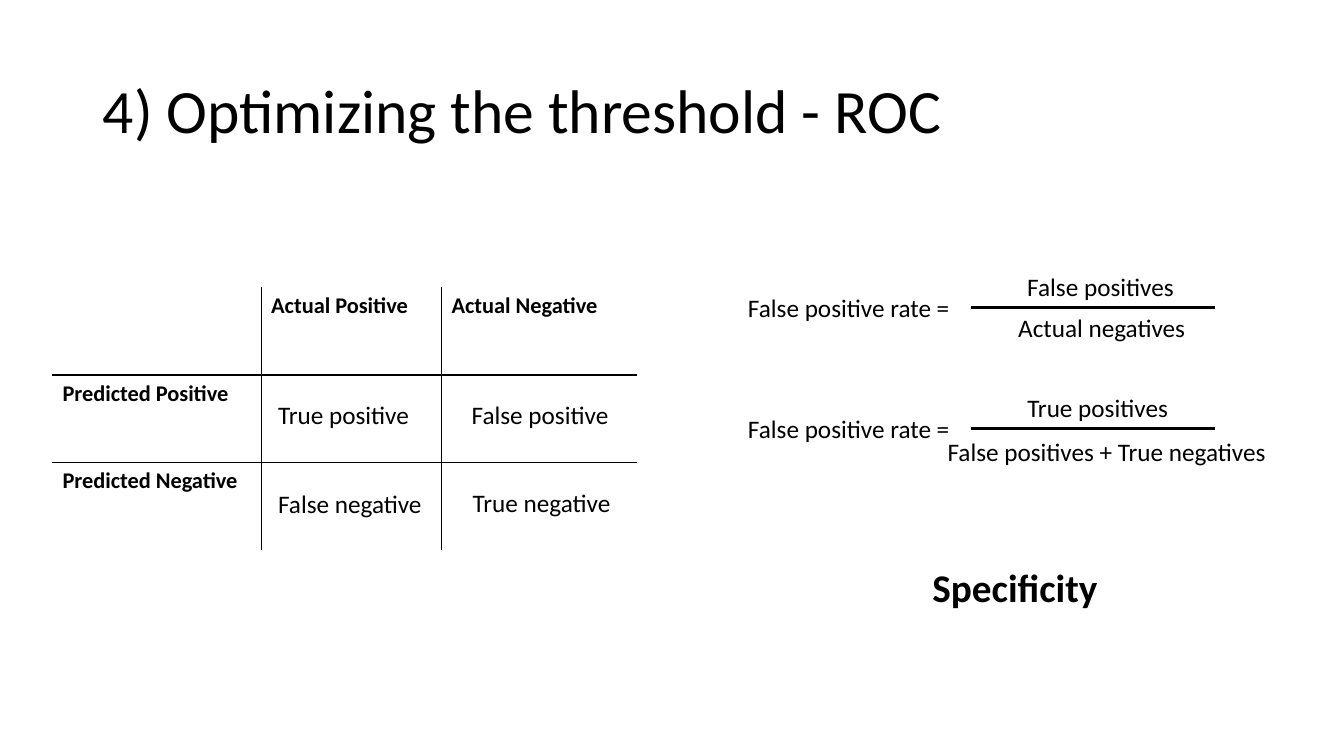
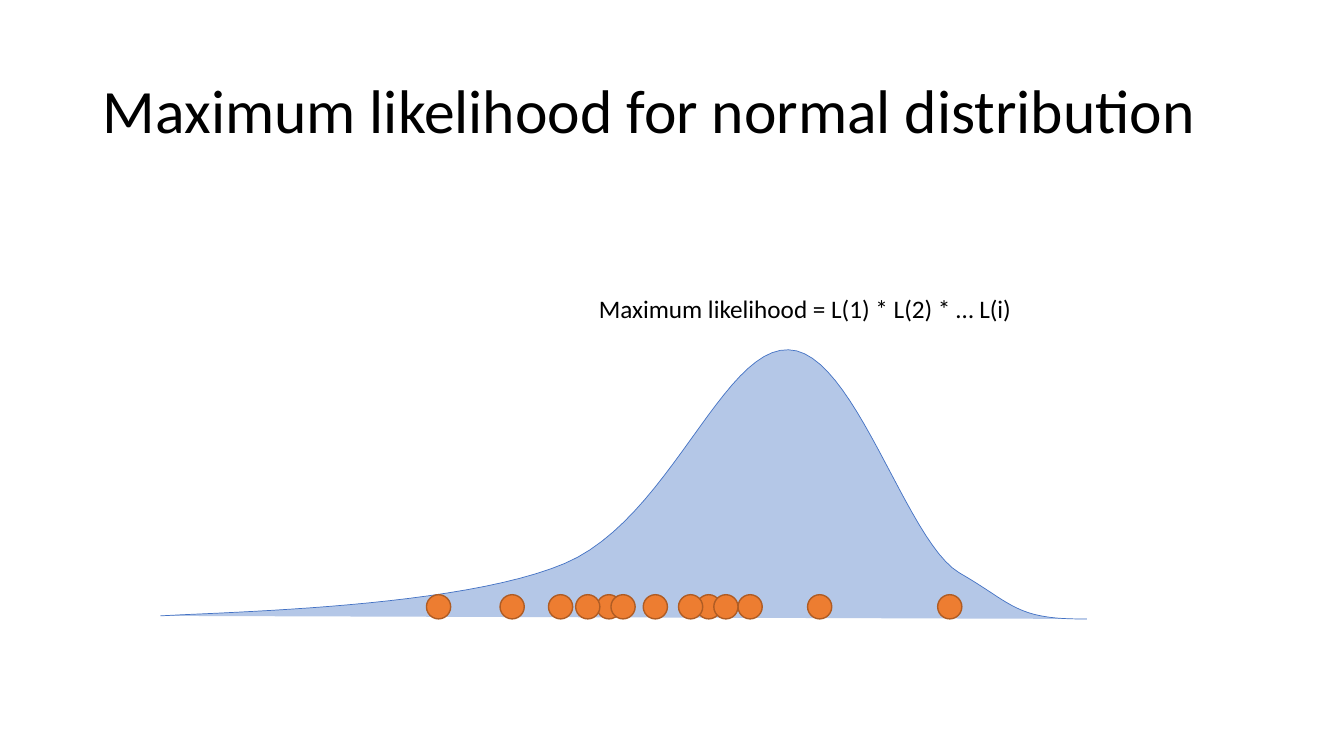
"""Build two statistics slides: a confusion table with rates, and a likelihood curve."""
import dataclasses
import typing

import lxml.etree
import pptx
import pptx.dml.color
import pptx.enum.shapes
import pptx.enum.text
import pptx.oxml.ns
import pptx.util

SCALE = 9144
STEPS = 24


@dataclasses.dataclass(frozen=True)
class Theme:
    font: str = "Calibri"
    ink: str = "000000"
    paper: str = "FFFFFF"
    area: str = "B4C7E7"
    edge: str = "4472C4"
    dot: str = "ED7D31"
    rim: str = "AF5C24"
    title: int = 44
    large: int = 28
    body: int = 18
    head: int = 16


THEME = Theme()


class Label(typing.NamedTuple):
    text: str
    left: int
    top: int
    width: int


class Ratio(typing.NamedTuple):
    name: Label
    upper: Label
    lower: Label
    bar: int


class Curve(typing.NamedTuple):
    start: tuple[int, int]
    pull: tuple[int, int]
    push: tuple[int, int]
    end: tuple[int, int]


HEADS = [
    ["", "Actual Positive", "Actual Negative"],
    ["Predicted Positive", "", ""],
    ["Predicted Negative", "", ""],
]
COLS = [207, 179, 193]
ROW = 87
CELLS = [
    Label("True positive", 266, 391, 152),
    Label("True negative", 459, 479, 159),
    Label("False negative", 266, 480, 164),
    Label("False positive", 458, 391, 157),
]
RATES = [
    Ratio(
        Label("False positive rate =", 732, 285, 228),
        Label("False positives", 1009, 264, 167),
        Label("Actual negatives", 1000, 305, 188),
        305,
    ),
    Ratio(
        Label("False positive rate =", 732, 405, 228),
        Label("True positives", 1009, 384, 161),
        Label("False positives + True negatives", 930, 428, 340),
        425,
    ),
]
CURVES = [
    Curve((1078, 614), (1007, 615), (1005, 599), (951, 568)),
    Curve((951, 568), (898, 536), (847, 348), (782, 347)),
    Curve((782, 347), (716, 345), (664, 515), (560, 559)),
    Curve((560, 559), (456, 603), (225, 607), (159, 611)),
]
DOTS = [423, 496, 544, 592, 638, 691, 732, 708, 673, 801, 930, 606, 571]


def px(num: float) -> int:
    return pptx.util.Emu(round(num * SCALE))


def tint(code: str) -> pptx.dml.color.RGBColor:
    return pptx.dml.color.RGBColor.from_string(code)


def write(frame, text: str, *, size: int = THEME.body, bold: bool = False,
          color: str = THEME.ink, lead: float | None = None) -> None:
    para = frame.paragraphs[0]
    para.alignment = pptx.enum.text.PP_ALIGN.LEFT
    para.line_spacing = lead
    run = para.add_run()
    run.text = text
    run.font.name = THEME.font
    run.font.size = pptx.util.Pt(size)
    run.font.bold = bold
    run.font.color.rgb = tint(color)


def label(slide, item: Label, *, height: int = 40, **style) -> None:
    box = slide.shapes.add_textbox(
        px(item.left), px(item.top), px(item.width), px(height))
    frame = box.text_frame
    frame.word_wrap = False
    frame.auto_size = pptx.enum.text.MSO_AUTO_SIZE.SHAPE_TO_FIT_TEXT
    write(frame, item.text, **style)


def start(deck, text: str):
    slide = deck.slides.add_slide(deck.slide_layouts[5])
    title = slide.shapes.title
    title.left, title.top = px(92), px(40)
    title.width, title.height = px(1150), px(145)
    frame = title.text_frame
    frame.word_wrap = True
    frame.auto_size = pptx.enum.text.MSO_AUTO_SIZE.NONE
    frame.vertical_anchor = pptx.enum.text.MSO_ANCHOR.MIDDLE
    write(frame, text, size=THEME.title, lead=0.9)
    return slide


def paint(shape, fill: str, line: str, width: float) -> None:
    shape.shadow.inherit = False
    shape.fill.solid()
    shape.fill.fore_color.rgb = tint(fill)
    shape.line.color.rgb = tint(line)
    shape.line.width = pptx.util.Pt(width)


def border(cell, side: str, color: str) -> None:
    qn = pptx.oxml.ns.qn
    line = lxml.etree.SubElement(
        cell._tc.get_or_add_tcPr(), qn(f"a:ln{side}"), w=str(pptx.util.Pt(1)))
    fill = lxml.etree.SubElement(line, qn("a:solidFill"))
    lxml.etree.SubElement(fill, qn("a:srgbClr"), val=color)


def grid(slide) -> None:
    count = len(HEADS)
    table = slide.shapes.add_table(
        count, len(COLS), px(52), px(285), px(sum(COLS)), px(ROW * count)).table
    table.first_row = False
    table.horz_banding = False
    for col, width in zip(table.columns, COLS):
        col.width = px(width)
    for r, texts in enumerate(HEADS):
        table.rows[r].height = px(ROW)
        for c, text in enumerate(texts):
            cell = table.cell(r, c)
            inner = {"L": c > 0, "R": c < len(COLS) - 1,
                     "T": r > 0, "B": r < count - 1}
            for side, dark in inner.items():
                border(cell, side, THEME.ink if dark else THEME.paper)
            cell.fill.background()
            if text:
                write(cell.text_frame, text, size=THEME.head, bold=True)


def bar(slide, top: int) -> None:
    line = slide.shapes.add_connector(
        pptx.enum.shapes.MSO_CONNECTOR.STRAIGHT, px(963), px(top), px(1205), px(top))
    line.line.color.rgb = tint(THEME.ink)
    line.line.width = pptx.util.Pt(2.25)
    lxml.etree.SubElement(
        line._element.spPr, pptx.oxml.ns.qn("a:effectLst"))


def trace(curve: Curve) -> list[tuple[int, int]]:
    points = []
    for step in range(1, STEPS + 1):
        t = step / STEPS
        u = 1 - t
        parts = (u ** 3, 3 * u * u * t, 3 * u * t * t, t ** 3)
        points.append(tuple(
            px(sum(w * p[axis] for w, p in zip(parts, curve))) for axis in (0, 1)))
    return points


def hill(slide) -> None:
    x, y = CURVES[0].start
    pen = slide.shapes.build_freeform(px(x), px(y), scale=1.0)
    points = [point for curve in CURVES for point in trace(curve)]
    pen.add_line_segments(points, close=False)
    paint(pen.convert_to_shape(), THEME.area, THEME.edge, 0.5)


def rates(deck) -> None:
    slide = start(deck, "4) Optimizing the threshold - ROC")
    grid(slide)
    for item in CELLS:
        label(slide, item)
    for rate in RATES:
        for item in (rate.name, rate.upper, rate.lower):
            label(slide, item)
        bar(slide, rate.bar)
    label(slide, Label("Specificity", 915, 554, 186),
          height=57, size=THEME.large, bold=True)


def normal(deck) -> None:
    slide = start(deck, "Maximum likelihood for normal distribution")
    hill(slide)
    for left in DOTS:
        dot = slide.shapes.add_shape(
            pptx.enum.shapes.MSO_SHAPE.OVAL, px(left), px(590), px(24), px(24))
        paint(dot, THEME.dot, THEME.rim, 1)
    label(slide, Label("Maximum likelihood = L(1) * L(2) * … L(i)", 584, 286, 435))


def main() -> None:
    deck = pptx.Presentation()
    deck.slide_width, deck.slide_height = px(1333), px(750)
    rates(deck)
    normal(deck)
    deck.save("out.pptx")


if __name__ == "__main__":
    main()
